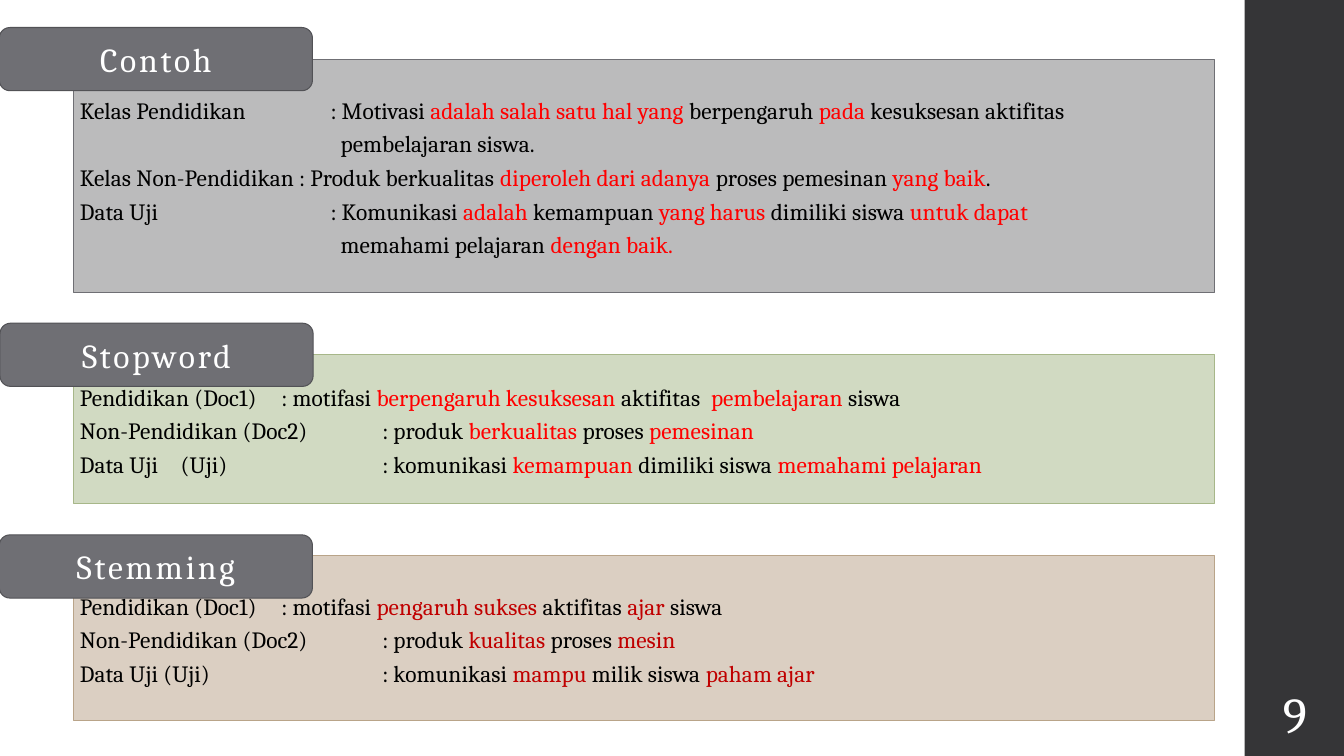
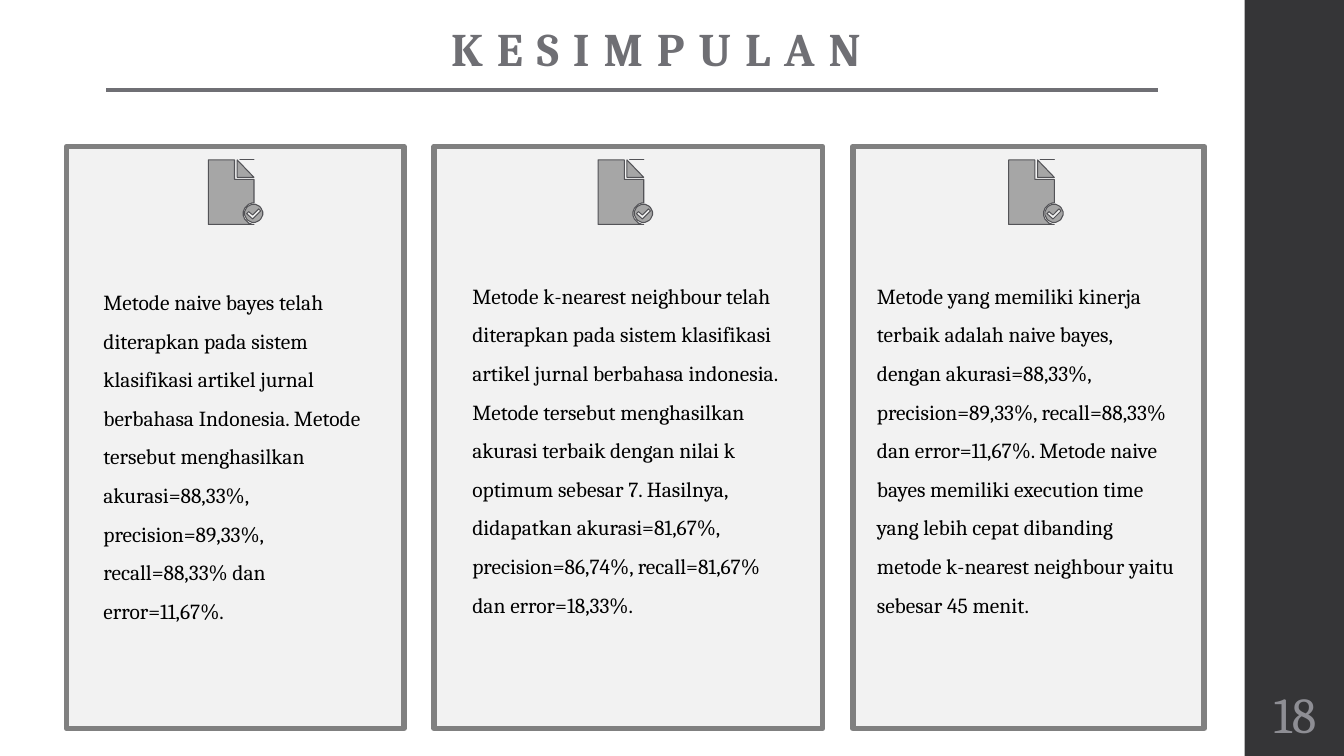
from dataclasses import dataclass
from math import cos, radians, sin

from lxml.etree import SubElement
from pptx import Presentation
from pptx.dml.color import RGBColor
from pptx.enum.shapes import MSO_CONNECTOR, MSO_SHAPE as Kind
from pptx.enum.text import MSO_ANCHOR as Anchor, MSO_AUTO_SIZE as Fit, PP_ALIGN as Align
from pptx.oxml.ns import qn
from pptx.util import Inches, Pt

# Shared look
FONT = "Cambria"
DARK, GREY, WHITE, BLACK = "353537", "6F6F74", "FFFFFF", "000000"
RED, WINE = "FF0000", "C00000"
BAND_X, BAND_W = 18.52, 1.5


@dataclass
class Row:
    text: str  # parts between asterisks take the accent colour
    stops: tuple[float, ...] = ()
    left: float = 0


@dataclass
class Panel:
    name: str
    tag_x: float
    tag_y: float
    top: float
    high: float
    pad: float
    fill: str
    edge: str
    accent: str
    rows: list[Row]


@dataclass
class Card:
    left: float
    wide: float
    icon_x: float
    text_x: float
    text_y: float
    text_w: float
    text: str


PANELS = [
    Panel("Contoh", -0.01, 0.41, 0.88, 3.47, 0.55, "BBBBBC", GREY, RED, [
        Row("Kelas Pendidikan\t: Motivasi *adalah salah satu hal yang *berpengaruh "
            "*pada* kesuksesan aktifitas", (3.73,)),
        Row("pembelajaran siswa.", left=3.88),
        Row("Kelas Non-Pendidikan : Produk berkualitas *diperoleh dari adanya "
            "*proses pemesinan *yang baik*."),
        Row("Data Uji\t: Komunikasi *adalah* kemampuan *yang harus *dimiliki siswa "
            "*untuk dapat", (3.73,)),
        Row("memahami pelajaran *dengan baik.", left=3.88),
    ]),
    Panel("Stopword", 0, 4.81, 5.27, 2.22, 0.43, "D1DAC2", "A7B789", RED, [
        Row("Pendidikan (Doc1)\t: motifasi *berpengaruh kesuksesan *aktifitas  "
            "*pembelajaran* siswa", (3,)),
        Row("Non-Pendidikan (Doc2)\t: produk *berkualitas* proses *pemesinan", (4.5,)),
        Row("Data Uji\t(Uji)\t: komunikasi *kemampuan* dimiliki siswa "
            "*memahami pelajaran", (1.5, 4.5)),
    ]),
    Panel("Stemming", -0.01, 7.96, 8.26, 2.46, 0.55, "DBCFC2", "B9A489", WINE, [
        Row("Pendidikan (Doc1)\t: motifasi *pengaruh sukses *aktifitas *ajar* siswa", (3,)),
        Row("Non-Pendidikan (Doc2)\t: produk *kualitas* proses *mesin", (4.5,)),
        Row("Data Uji (Uji)\t: komunikasi *mampu* milik siswa *paham ajar", (4.5,)),
    ]),
]

CARDS = [
    Card(0.99, 5.02, 3.1, 1.44, 4.06, 4.13,
         "Metode naive bayes telah diterapkan pada sistem klasifikasi artikel jurnal "
         "berbahasa Indonesia. Metode tersebut menghasilkan akurasi=88,33%, "
         "precision=89,33%, recall=88,33% dan error=11,67%."),
    Card(6.46, 5.78, 8.9, 6.93, 3.97, 4.85,
         "Metode k-nearest neighbour telah diterapkan pada sistem klasifikasi artikel "
         "jurnal berbahasa indonesia. Metode tersebut menghasilkan akurasi terbaik "
         "dengan nilai k optimum sebesar 7. Hasilnya, didapatkan akurasi=81,67%, "
         "precision=86,74%, recall=81,67% dan error=18,33%."),
    Card(12.69, 5.23, 15.01, 12.95, 3.97, 4.72,
         "Metode yang memiliki kinerja terbaik adalah naive bayes, dengan "
         "akurasi=88,33%, precision=89,33%, recall=88,33% dan error=11,67%. Metode "
         "naive bayes memiliki execution time yang lebih cepat dibanding metode "
         "k-nearest neighbour yaitu sebesar 45 menit."),
]


# Helpers
def paint(part, color: str) -> None:
    part.rgb = RGBColor.from_string(color)


def write(para, text: str, *, size: float, color: str = BLACK, accent: str = RED,
          bold: bool = False, track: float = 0, align=Align.LEFT, lead: float = 1,
          before: float = 0, after: float = 0) -> None:
    para.alignment, para.line_spacing = align, lead
    para.space_before, para.space_after = Pt(before), Pt(after)
    for i, part in enumerate(text.split("*")):
        if part:
            run = para.add_run()
            run.text = part
            font = run.font
            font.name, font.size, font.bold = FONT, Pt(size), bold
            paint(font.color, accent if i % 2 else color)
            if track:
                run._r.get_or_add_rPr().set("spc", str(round(track * 100)))


def indent(para, row: Row) -> None:
    """Set a left margin or tab stops; a zero indent would cancel the stops."""
    props = para._p.get_or_add_pPr()
    if row.left:
        props.set("marL", str(Inches(row.left)))
    if row.stops:
        tabs = SubElement(props, qn("a:tabLst"))
        for stop in row.stops:
            SubElement(tabs, qn("a:tab"), pos=str(Inches(stop)), algn="l")


def style(shape, fill: str, edge: str = "", width: float = 0) -> None:
    shape.shadow.inherit = False
    shape.fill.solid()
    paint(shape.fill.fore_color, fill)
    if edge:
        paint(shape.line.color, edge)
        shape.line.width = Pt(width)
    else:
        shape.line.fill.background()


def block(slide, box: tuple, fill: str, edge: str = "", width: float = 0,
          kind=Kind.RECTANGLE):
    shape = slide.shapes.add_shape(kind, *map(Inches, box))
    style(shape, fill, edge, width)
    return shape


def label(slide, box: tuple, text: str, *, anchor=Anchor.TOP, pad: float = 0.1,
          **look) -> None:
    frame = slide.shapes.add_textbox(*map(Inches, box)).text_frame
    frame.word_wrap, frame.vertical_anchor = True, anchor
    frame.margin_left = frame.margin_right = Inches(pad)
    write(frame.paragraphs[0], text, **look)


def number(slide, text: str, color: str) -> None:
    label(slide, (BAND_X, 10.13, BAND_W, 0.97), text, anchor=Anchor.MIDDLE, pad=0.05,
          size=54, color=color, align=Align.CENTER)


def band(deck, slide) -> None:
    """Place the side band on the master, behind every slide."""
    shape = block(slide, (BAND_X, 0, BAND_W, 11.25), DARK)
    shape.element.nvSpPr.cNvPr.id = 99
    deck.slide_master.shapes.element.append(shape.element)


def arc(x: float, y: float, size: float, start: int, stop: int) -> list:
    return [(x + size * cos(radians(a)), y + size * sin(radians(a)))
            for a in range(start, stop - 1, -10)]


def icon(slide, left: float, top: float) -> None:
    """Draw a page with a folded corner and a tick, in hundredths of an inch."""
    page = [(0, 0), (39, 0), (39, 29), (68, 29), *arc(68, 80, 16, 270, 90), (0, 96)]
    fold = [(43, 0), (68, 26), (43, 26)]
    edge = [(47, 0), (68, 0)]
    disc = arc(67.5, 79.5, 13.5, 360, 10)
    tick = [(75, 73), (66, 82), (60, 77), (57, 80), (66, 88), (78, 76)]
    pen = slide.shapes.build_freeform(*page[0], scale=Inches(0.01))
    pen.add_line_segments(page[1:])
    for path in (fold, edge, disc, tick):
        pen.move_to(*path[0])
        pen.add_line_segments(path[1:])
    style(pen.convert_to_shape(Inches(left), Inches(top)), "A6A6A6", "535357", 1.1)


# Slide parts
def draw_panel(slide, panel: Panel) -> None:
    box = block(slide, (1.09, panel.top, 16.98, panel.high), panel.fill, panel.edge, 0.75)
    frame = box.text_frame
    frame.word_wrap, frame.vertical_anchor = True, Anchor.TOP
    frame.margin_top = Inches(panel.pad)
    for i, row in enumerate(panel.rows):
        para = frame.add_paragraph() if i else frame.paragraphs[0]
        write(para, row.text, size=25, accent=panel.accent, track=0.1, before=6)
        indent(para, row)
    tag = block(slide, (panel.tag_x, panel.tag_y, 4.66, 0.94), GREY, "525256", 1.1,
                Kind.FLOWCHART_ALTERNATE_PROCESS)
    tag.text_frame.vertical_anchor = Anchor.MIDDLE
    write(tag.text_frame.paragraphs[0], panel.name, size=36, color=WHITE, track=3,
          align=Align.CENTER)


def draw_card(slide, card: Card) -> None:
    block(slide, (card.left, 2.18, card.wide, 8.66), "F2F2F2", "808080", 6)
    icon(slide, card.icon_x, 2.38)
    label(slide, (card.text_x, card.text_y, card.text_w, 5.9), card.text,
          size=23, lead=1.5)


def draw_title(slide, text: str) -> None:
    title = slide.shapes.title
    title.left, title.top, title.width, title.height = map(
        Inches, (0.61, 0.31, 18.31, 1.23))
    frame = title.text_frame
    frame.auto_size, frame.vertical_anchor = Fit.NONE, Anchor.TOP
    write(frame.paragraphs[0], text, size=50, color=GREY, bold=True, track=15,
          align=Align.CENTER, lead=0.95, after=3)
    rule = slide.shapes.add_connector(
        MSO_CONNECTOR.STRAIGHT, *map(Inches, (1.58, 1.34, 17.23, 1.34)))
    paint(rule.line.color, GREY)
    rule.line.width = Pt(4.5)
    SubElement(rule.element.spPr, qn("a:effectLst"))


def main() -> None:
    deck = Presentation()
    deck.slide_width, deck.slide_height = Inches(20), Inches(11.25)

    # Worked example
    steps = deck.slides.add_slide(deck.slide_layouts[6])
    band(deck, steps)
    number(steps, "9", WHITE)
    for panel in PANELS:
        draw_panel(steps, panel)

    # Conclusion
    recap = deck.slides.add_slide(deck.slide_layouts[5])
    number(recap, "18", "8E8E94")
    draw_title(recap, "KESIMPULAN")
    for card in CARDS:
        draw_card(recap, card)

    deck.save("out.pptx")


if __name__ == "__main__":
    main()
